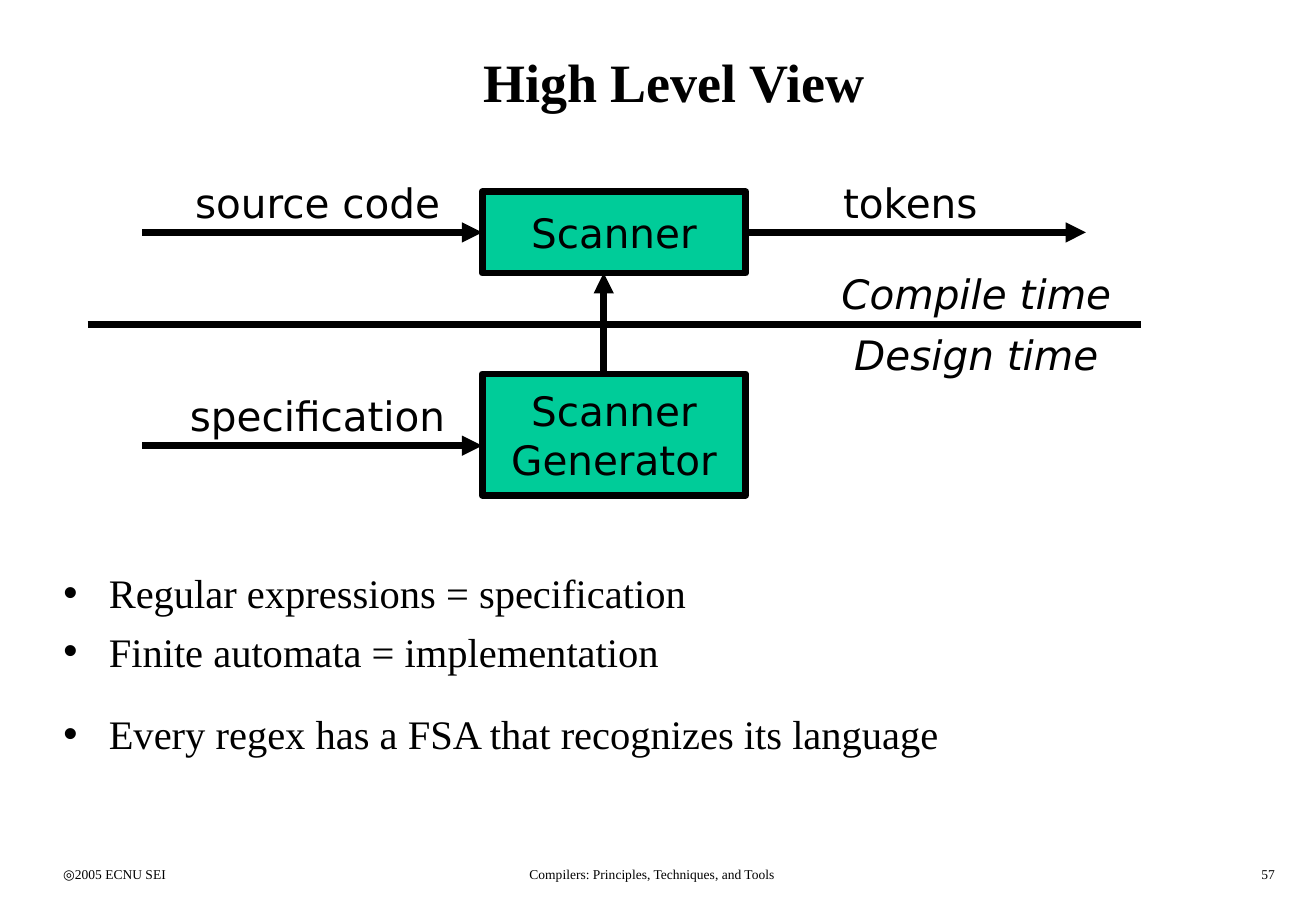
from dataclasses import dataclass

from lxml.etree import SubElement
from pptx import Presentation
from pptx.dml.color import RGBColor
from pptx.enum.shapes import MSO_CONNECTOR as ConnectorType, MSO_SHAPE as ShapeType
from pptx.enum.text import MSO_ANCHOR as Anchor, MSO_AUTO_SIZE as AutoSize, PP_ALIGN as Align
from pptx.oxml.ns import qn
from pptx.shapes.autoshape import Shape
from pptx.slide import Slide
from pptx.text.text import TextFrame, _Paragraph as Paragraph
from pptx.util import Cm, Pt


@dataclass(frozen=True)
class Theme:
    ink: RGBColor = RGBColor(0x00, 0x00, 0x00)
    box_fill: RGBColor = RGBColor(0x00, 0xCC, 0x99)
    serif: str = "Times New Roman"
    sans: str = "DejaVu Sans"
    title_size: int = 32
    text_size: int = 24
    footer_size: int = 8
    line_width: int = 4


@dataclass(frozen=True)
class Area:
    left: float
    top: float
    width: float
    height: float

    def lengths(self) -> tuple[Cm, Cm, Cm, Cm]:
        return Cm(self.left), Cm(self.top), Cm(self.width), Cm(self.height)


@dataclass(frozen=True)
class Box:
    lines: tuple[str, ...]
    area: Area


@dataclass(frozen=True)
class Line:
    start: tuple[float, float]
    end: tuple[float, float]
    arrow: bool = True
    from_box: str = ""
    to_box: str = ""


@dataclass(frozen=True)
class Label:
    text: str
    area: Area
    align: Align = Align.CENTER
    italic: bool = False


@dataclass(frozen=True)
class Bullet:
    text: str
    space_before: float


THEME = Theme()
RIGHT_SIDE, LEFT_SIDE = 3, 1

BOX_LEFT, BOX_WIDTH = 10.08, 5.51
BOX_RIGHT = BOX_LEFT + BOX_WIDTH
INPUT_LEFT, ARROW_LENGTH = 2.97, 7.11
SCANNER_Y, DIVIDER_Y, SPECIFICATION_Y = 4.86, 6.78, 9.32
GENERATOR_X = 12.62
LABEL_WIDTH, LABEL_HEIGHT = 6.88, 1.27
INPUT_LABEL_LEFT = BOX_LEFT - LABEL_WIDTH
PHASE_LEFT, PHASE_WIDTH = 16.51, 7.8
FOOTER_TOP, FOOTER_HEIGHT = 17.98, 0.64

TITLE_AREA = Area(1.07, 0.42, 26.04, 2.54)
BODY_AREA = Area(1.07, 11.76, 26.04, 5.8)

BOXES = (
    Box(("Scanner",), Area(BOX_LEFT, 4.01, BOX_WIDTH, 1.7)),
    Box(("Scanner", "Generator"), Area(BOX_LEFT, 7.82, BOX_WIDTH, 2.54)),
)
LINES = (
    Line((INPUT_LEFT, SCANNER_Y), (BOX_LEFT, SCANNER_Y), to_box="Scanner"),
    Line((INPUT_LEFT, SPECIFICATION_Y), (BOX_LEFT, SPECIFICATION_Y)),
    Line((1.83, DIVIDER_Y), (23.85, DIVIDER_Y), arrow=False),
    Line((BOX_RIGHT, SCANNER_Y), (BOX_RIGHT + ARROW_LENGTH, SCANNER_Y), from_box="Scanner"),
    Line((GENERATOR_X, 7.82), (GENERATOR_X, 5.71)),
)


def label_above(text: str, left: float, line_y: float) -> Label:
    return Label(text, Area(left, line_y - LABEL_HEIGHT, LABEL_WIDTH, LABEL_HEIGHT))


LABELS = (
    label_above("source code", INPUT_LABEL_LEFT, SCANNER_Y),
    label_above("specification", INPUT_LABEL_LEFT, SPECIFICATION_Y),
    label_above("tokens", BOX_RIGHT, SCANNER_Y),
    Label("Compile time", Area(PHASE_LEFT, DIVIDER_Y - LABEL_HEIGHT, PHASE_WIDTH, LABEL_HEIGHT),
          italic=True),
    Label("Design time", Area(PHASE_LEFT, DIVIDER_Y, PHASE_WIDTH, LABEL_HEIGHT), italic=True),
)
FOOTERS = (
    Label("◎2005 ECNU SEI", Area(1.07, FOOTER_TOP, 5.74, FOOTER_HEIGHT), Align.LEFT),
    Label("Compilers: Principles, Techniques, and Tools",
          Area(8.48, FOOTER_TOP, 10.31, FOOTER_HEIGHT)),
    Label("57", Area(21.16, FOOTER_TOP, 5.74, FOOTER_HEIGHT), Align.RIGHT),
)
BULLETS = (
    Bullet("Regular expressions = specification", 0),
    Bullet("Finite automata = implementation", 5.6),
    Bullet("Every regex has a FSA that recognizes its language", 20.4),
)


def add_run(paragraph: Paragraph, text: str, font_name: str, size: int,
            bold: bool = False, italic: bool = False) -> None:
    run = paragraph.add_run()
    run.text = text
    run.font.name, run.font.size = font_name, Pt(size)
    run.font.bold, run.font.italic = bold, italic
    run.font.color.rgb = THEME.ink


def paragraph_at(frame: TextFrame, index: int) -> Paragraph:
    """Return the frame's first paragraph for index 0, else a new one."""
    return frame.paragraphs[0] if index == 0 else frame.add_paragraph()


def place(shape: Shape, area: Area) -> None:
    shape.left, shape.top, shape.width, shape.height = area.lengths()


def fill_title(slide: Slide) -> None:
    title = slide.shapes.title
    place(title, TITLE_AREA)
    title.text_frame.vertical_anchor = Anchor.MIDDLE
    paragraph = title.text_frame.paragraphs[0]
    paragraph.alignment = Align.CENTER
    add_run(paragraph, "High Level View", THEME.serif, THEME.title_size, bold=True)


def fill_body(slide: Slide) -> None:
    body = slide.placeholders[1]
    place(body, BODY_AREA)
    body.text_frame.auto_size = AutoSize.NONE
    for index, bullet in enumerate(BULLETS):
        paragraph = paragraph_at(body.text_frame, index)
        properties = paragraph._p.get_or_add_pPr()
        properties.set("marL", str(Cm(0.95)))
        properties.set("indent", str(-Cm(0.95)))
        SubElement(properties, qn("a:buChar"), char="•")
        paragraph.space_before = Pt(bullet.space_before)
        add_run(paragraph, bullet.text, THEME.serif, THEME.text_size)


def add_box(slide: Slide, box: Box) -> Shape:
    shape = slide.shapes.add_shape(ShapeType.RECTANGLE, *box.area.lengths())
    shape.shadow.inherit = False
    shape.fill.solid()
    shape.fill.fore_color.rgb = THEME.box_fill
    shape.line.color.rgb = THEME.ink
    shape.line.width = Pt(THEME.line_width)
    frame = shape.text_frame
    frame.word_wrap = False
    frame.vertical_anchor = Anchor.MIDDLE
    for index, text in enumerate(box.lines):
        paragraph = paragraph_at(frame, index)
        paragraph.alignment = Align.CENTER
        add_run(paragraph, text, THEME.sans, THEME.text_size)
    return shape


def add_line(slide: Slide, line: Line, boxes: dict[str, Shape]) -> None:
    points = [Cm(value) for value in (*line.start, *line.end)]
    connector = slide.shapes.add_connector(ConnectorType.STRAIGHT, *points)
    connector.line.color.rgb = THEME.ink
    connector.line.width = Pt(THEME.line_width)
    properties = connector._element.spPr
    if line.arrow:
        SubElement(properties.find(qn("a:ln")), qn("a:tailEnd"), type="triangle")
    SubElement(properties, qn("a:effectLst"))
    if line.from_box:
        connector.begin_connect(boxes[line.from_box], RIGHT_SIDE)
    if line.to_box:
        connector.end_connect(boxes[line.to_box], LEFT_SIDE)


def add_label(slide: Slide, label: Label, font_name: str, size: int) -> None:
    frame = slide.shapes.add_textbox(*label.area.lengths()).text_frame
    frame.word_wrap = True
    paragraph = frame.paragraphs[0]
    paragraph.alignment = label.align
    add_run(paragraph, label.text, font_name, size, italic=label.italic)


def main() -> None:
    presentation = Presentation()
    presentation.slide_width, presentation.slide_height = Cm(27.51), Cm(19.05)
    slide = presentation.slides.add_slide(presentation.slide_layouts[1])
    fill_title(slide)
    fill_body(slide)
    boxes = {" ".join(box.lines): add_box(slide, box) for box in BOXES}
    for line in LINES:
        add_line(slide, line, boxes)
    for label in LABELS:
        add_label(slide, label, THEME.sans, THEME.text_size)
    for footer in FOOTERS:
        add_label(slide, footer, THEME.serif, THEME.footer_size)
    presentation.save("out.pptx")


if __name__ == "__main__":
    main()
